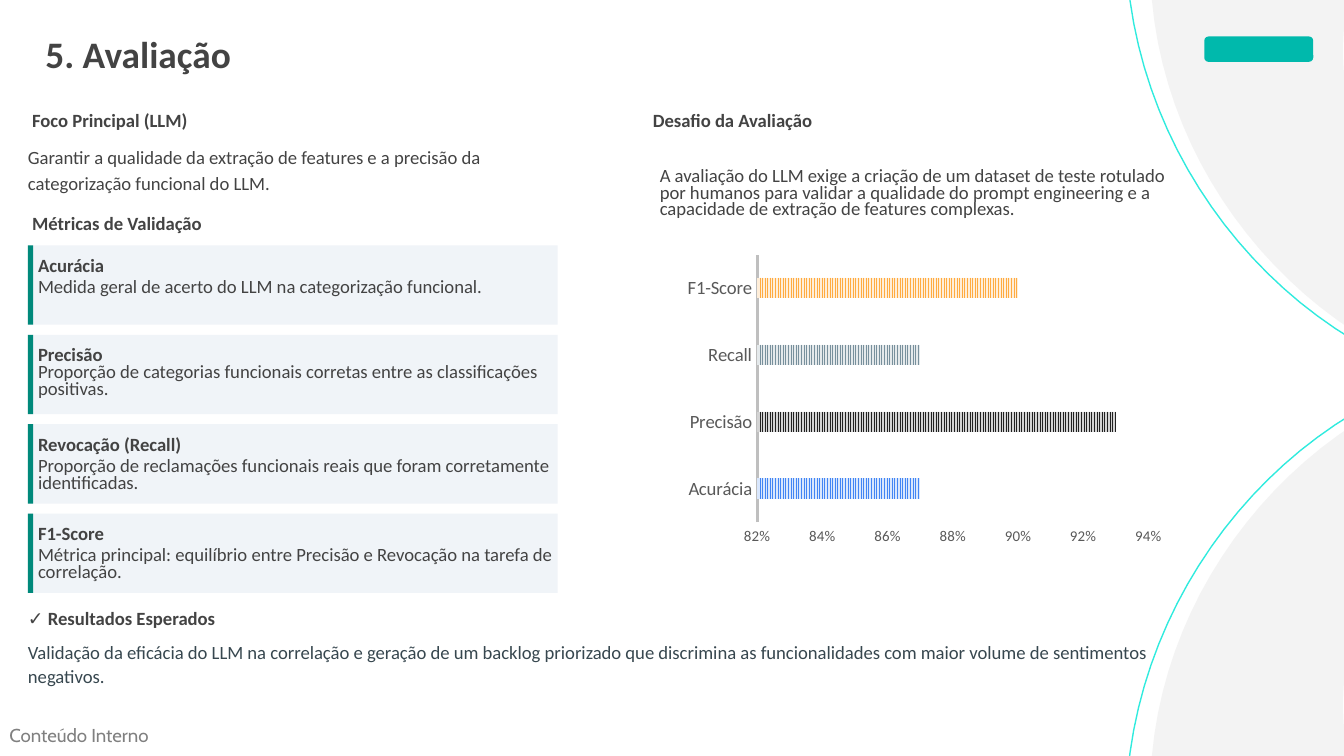
from lxml import etree
from pptx import Presentation
from pptx import util as u
from pptx.chart.data import CategoryChartData
from pptx.dml.color import RGBColor
from pptx.enum import chart as charts
from pptx.enum import dml, shapes
from pptx.oxml.ns import qn

DARK, SLATE, GRAY = "434343", "37474F", "595959"
LEFT, RIGHT = 0.53, 12.34

CARDS = [  # heading, description, offset of the description from the card top
    ("Acurácia", "Medida geral de acerto do LLM na categorização funcional.", 0.66),
    ("Precisão", "Proporção de categorias funcionais corretas entre as "
     "classificações positivas.", 0.58),
    ("Revocação (Recall)", "Proporção de reclamações funcionais reais que foram "
     "corretamente identificadas.", 0.66),
    ("F1-Score", "Métrica principal: equilíbrio entre Precisão e Revocação na "
     "tarefa de correlação.", 0.66),
]

SCORES = [  # category, value, stripe colour, background colour
    ("Acurácia", 0.87, "4285F4", "D9E7FD"),
    ("Precisão", 0.93, "212121", "D3D3D3"),
    ("Recall", 0.87, "78909C", "E4E9EB"),
    ("F1-Score", 0.9, "FFAB40", "FFEED9"),
]

# Upper half of the petal outline, in percent of its frame: Bezier curves
INNER_CURVES = [
    [(100, 47.6), (90, 46.7), (80.7, 44.5), (72.7, 41.5)],
    [(72.7, 41.5), (64.6, 38.4), (57.7, 34.4), (52.5, 29.8)],
    [(52.5, 29.8), (42.3, 21.2), (38.1, 10.3), (41.2, 0)],
]
OUTER_CURVE = [(0, 0), (3.3, 22.9), (29, 42.8), (62.4, 50)]


def color(value):
    return RGBColor.from_string(value)


def format_font(font, size=10, hue=DARK, name="Calibri", bold=False):
    values = {"size": u.Pt(size), "name": name, "bold": bold}
    for attribute, value in values.items():
        setattr(font, attribute, value)
    font.color.rgb = color(hue)


def add_text(slide, content, left, top, width, height, spacing=None, after=0,
             inset=0, **font):
    box = slide.shapes.add_textbox(*map(u.Cm, (left, top, width, height)))
    frame = box.text_frame
    frame.word_wrap = True
    for side in ("left", "top", "right", "bottom"):
        setattr(frame, f"margin_{side}", u.Cm(inset))
    paragraph = frame.paragraphs[0]
    paragraph.line_spacing = spacing
    paragraph.space_after = u.Pt(after)
    run = paragraph.add_run()
    run.text = content
    format_font(run.font, **font)


def add_block(slide, fill, left, top, width, height,
              kind=shapes.MSO_SHAPE.RECTANGLE):
    shape = slide.shapes.add_shape(kind, *map(u.Cm, (left, top, width, height)))
    shape.shadow.inherit = False
    shape.fill.solid()
    shape.fill.fore_color.rgb = color(fill)
    shape.line.fill.background()


def curve_points(curve, steps=24):
    points = []
    for step in range(steps + 1):
        t = step / steps
        weights = ((1 - t) ** 3, 3 * t * (1 - t) ** 2, 3 * t * t * (1 - t), t ** 3)
        points.append(tuple(sum(w * p[axis] for w, p in zip(weights, curve))
                            for axis in (0, 1)))
    return points


def add_petals(slide, left, top, width, height, fill=None, line=None):
    upper = [p for curve in INNER_CURVES + [OUTER_CURVE] for p in curve_points(curve)]
    outline = upper + [(x, 100 - y) for x, y in reversed(upper)]
    points = [(u.Cm(left + width * x / 100), u.Cm(top + height * y / 100))
              for x, y in outline]
    builder = slide.shapes.build_freeform(*points[0])
    builder.add_line_segments(points[1:], close=True)
    shape = builder.convert_to_shape()
    shape.shadow.inherit = False
    if fill:
        shape.fill.solid()
        shape.fill.fore_color.rgb = color(fill)
    else:
        shape.fill.background()
    if line:
        shape.line.color.rgb = color(line)
        shape.line.width = u.Pt(0.75)
    else:
        shape.line.fill.background()


def add_card(slide, top, heading, description, offset):
    add_block(slide, "F0F4F8", LEFT, top, 10.01, 1.5)
    add_block(slide, "00897B", LEFT, top, 0.1, 1.5)
    add_text(slide, heading, 0.72, top + 0.19, 9, 0.4, u.Pt(11), bold=True)
    add_text(slide, description, 0.72, top + offset, 10.1, 0.66, u.Pt(9))


def set_plot_layout(chart, **fractions):
    plot_area = chart._chartSpace.chart.plotArea
    layout = plot_area.find(qn("c:layout"))
    if layout is None:
        layout = etree.Element(qn("c:layout"))
        plot_area.insert(0, layout)
    manual = etree.SubElement(layout, qn("c:manualLayout"))
    values = {"layoutTarget": "inner", "xMode": "edge", "yMode": "edge", **fractions}
    for tag, value in values.items():
        etree.SubElement(manual, qn(f"c:{tag}")).set("val", str(value))


def add_score_chart(slide, left, top, width, height):
    data = CategoryChartData(number_format="0%")
    data.categories = [score[0] for score in SCORES]
    data.add_series("Series 1", [score[1] for score in SCORES])
    chart = slide.shapes.add_chart(
        charts.XL_CHART_TYPE.BAR_CLUSTERED,
        *map(u.Cm, (left, top, width, height)), data).chart
    chart.has_title = chart.has_legend = False
    format_font(chart.font, hue="000000", name="Arial")
    set_plot_layout(chart, x=0.2, y=0.01, w=0.75, h=0.82)

    # Striped bars, one colour per metric
    plot = chart.plots[0]
    plot.vary_by_categories = False
    plot.gap_width, plot.overlap = 227, -48
    for index, (_, _, stripe, back) in enumerate(SCORES):
        fill = plot.series[0].points[index].format.fill
        fill.patterned()
        fill.pattern = dml.MSO_PATTERN.NARROW_VERTICAL
        fill.fore_color.rgb = color(stripe)
        fill.back_color.rgb = color(back)

    # Axes
    categories, scale = chart.category_axis, chart.value_axis
    for axis, size in ((categories, 10), (scale, 8)):
        axis.has_major_gridlines = False
        axis.major_tick_mark = axis.minor_tick_mark = charts.XL_TICK_MARK.NONE
        format_font(axis.tick_labels.font, size=size, hue=GRAY)
    categories.format.line.color.rgb = color("BFBFBF")
    categories.format.line.width = u.Pt(1.5)
    scale.format.line.fill.background()
    limits = {"minimum_scale": 0.82, "maximum_scale": 0.94, "major_unit": 0.02}
    for attribute, value in limits.items():
        setattr(scale, attribute, value)
    scale.tick_labels.number_format = "0%"
    scale.tick_labels.number_format_is_linked = False


def main():
    presentation = Presentation()
    presentation.slide_width, presentation.slide_height = u.Cm(25.4), u.Cm(14.29)
    slide = presentation.slides.add_slide(presentation.slide_layouts[6])

    # Background and footer
    add_text(slide, "Conteúdo Interno", 0.18, 13.69, 4, 0.43,
             hue="808080", name="Cabin")
    add_petals(slide, 21.31, -0.41, 9.19, 15.06, line="2FEBDE")
    add_petals(slide, 21.77, 0, 8.99, 14.29, fill="F3F3F3")
    add_block(slide, "00B9AC", 22.76, 0.69, 2.06, 0.48,
              shapes.MSO_SHAPE.ROUNDED_RECTANGLE)

    # Title
    add_text(slide, "5. Avaliação", 0.61, 0.2, 6.25, 1.78, 1.16, after=8,
             inset=0.25, size=20, bold=True)

    # Left column
    add_text(slide, "Foco Principal (LLM)", 0.61, 1.98, 5, 0.48, u.Pt(14), bold=True)
    add_text(slide, "Garantir a qualidade da extração de features e a precisão da "
             "categorização funcional do LLM.", LEFT, 2.69, 10.52, 0.99, u.Pt(14))
    add_text(slide, "Métricas de Validação", 0.61, 3.94, 5, 0.48, u.Pt(14), bold=True)
    for row, card in enumerate(CARDS):
        add_card(slide, 4.64 + 1.69 * row, *card)

    # Right column
    add_text(slide, "Desafio da Avaliação", RIGHT, 1.98, 5, 0.48, u.Pt(14), bold=True)
    add_text(slide, "A avaliação do LLM exige a criação de um dataset de teste "
             "rotulado por humanos para validar a qualidade do prompt engineering e a "
             "capacidade de extração de features complexas.",
             12.24, 2.97, 10.52, 1.78, u.Pt(9), inset=0.23)
    add_score_chart(slide, RIGHT, 4.75, 9.86, 6.17)

    # Expected results
    add_text(slide, "✓ Resultados Esperados", LEFT, 11.51, 6, 0.41, u.Pt(11), bold=True)
    add_text(slide, "Validação da eficácia do LLM na correlação e geração de um backlog "
             "priorizado que discrimina as funcionalidades com maior volume de "
             "sentimentos negativos.", LEFT, 12.07, 21.21, 0.91, u.Pt(13), hue=SLATE)

    presentation.save("out.pptx")


if __name__ == "__main__":
    main()
